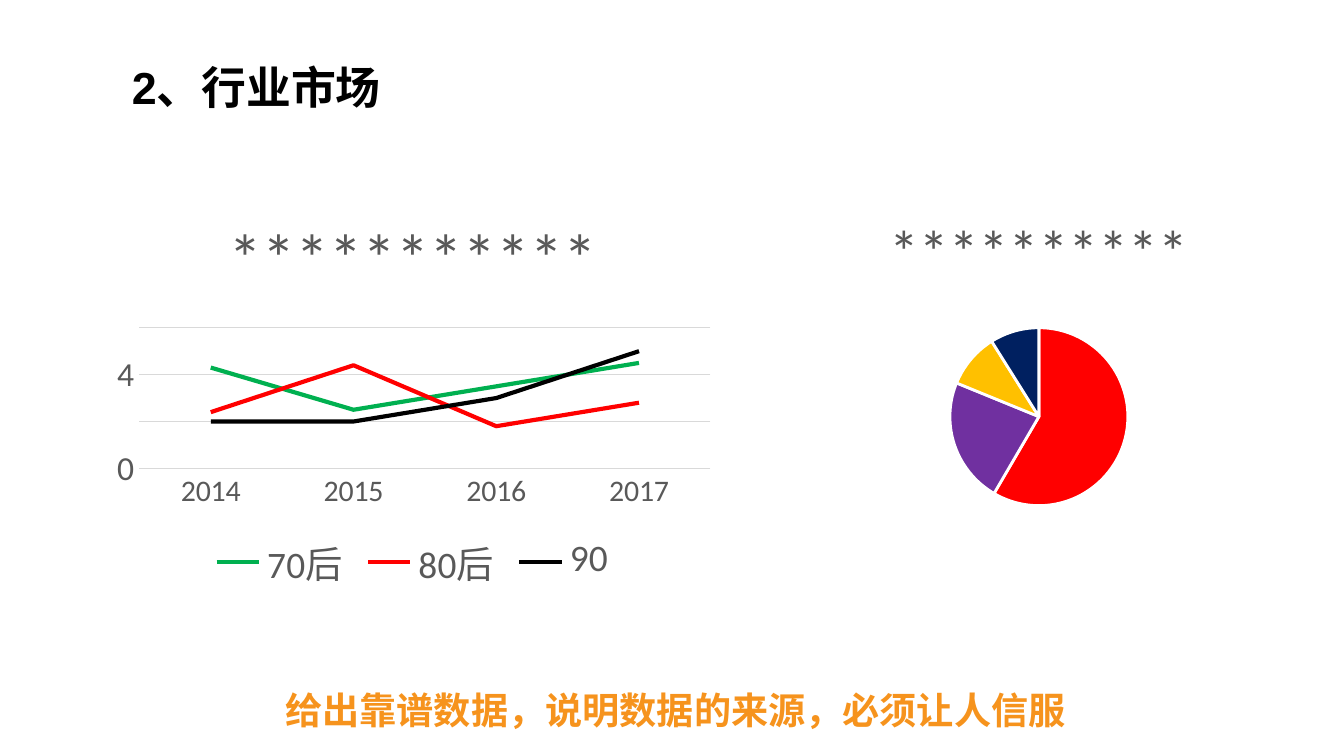
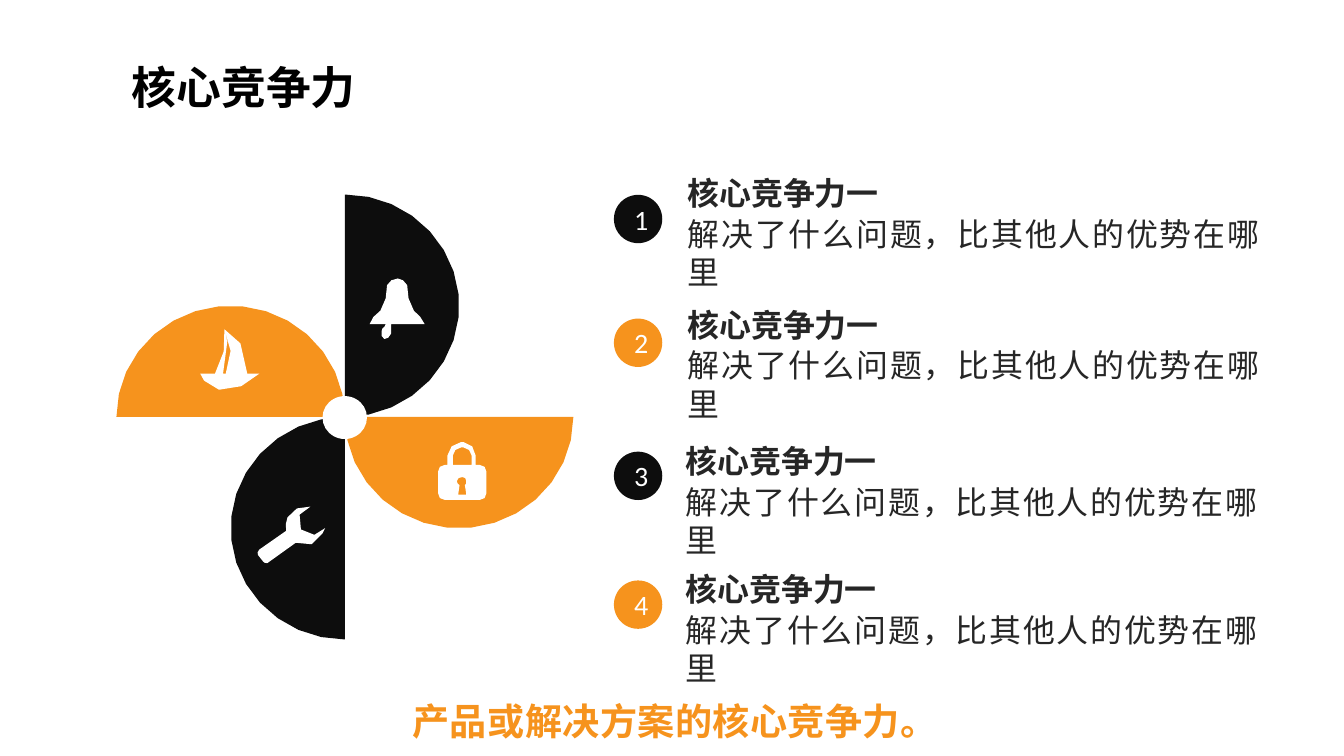
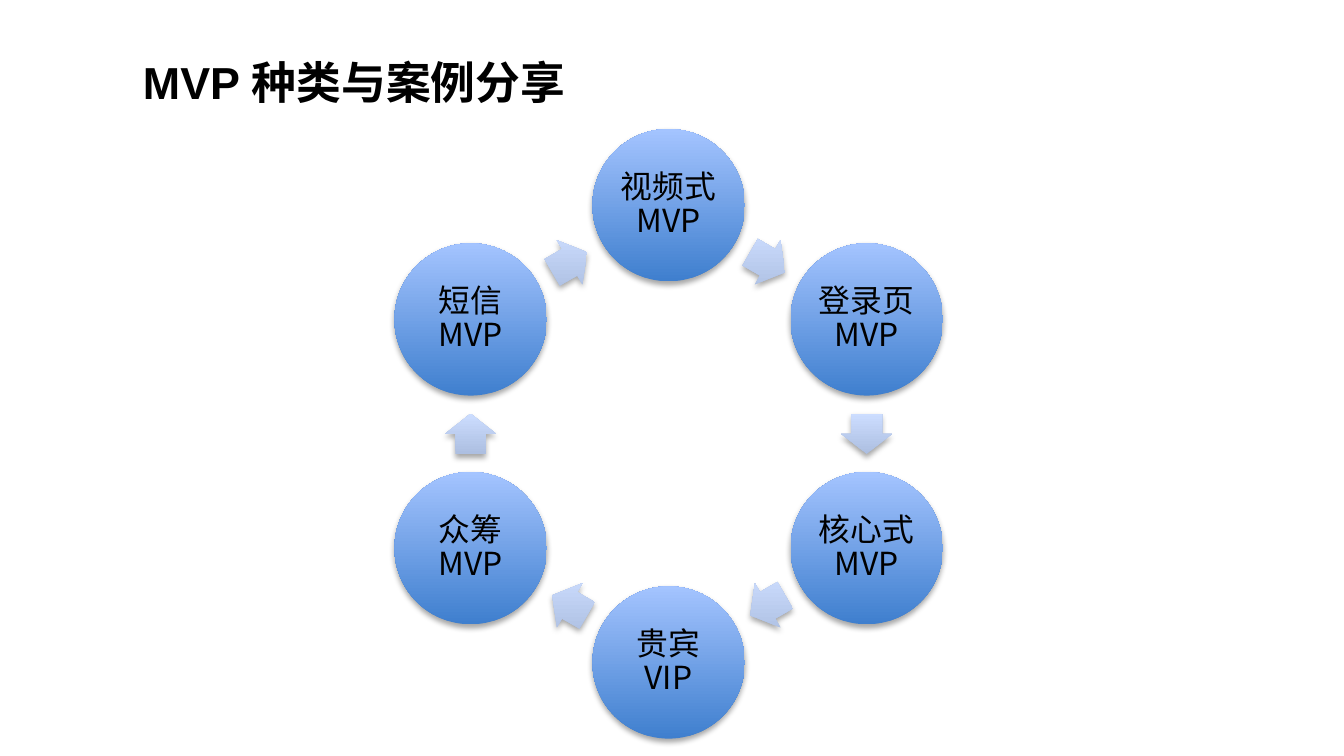
import math
from dataclasses import dataclass

import lxml.etree
import pptx
import pptx.chart.data
import pptx.dml.color
import pptx.enum.chart
import pptx.enum.shapes
import pptx.enum.text
import pptx.oxml
import pptx.oxml.ns
import pptx.util

Pt = pptx.util.Pt
qn = pptx.oxml.ns.qn
Shape = pptx.enum.shapes.MSO_SHAPE
Align = pptx.enum.text.PP_ALIGN
Anchor = pptx.enum.text.MSO_ANCHOR
Fit = pptx.enum.text.MSO_AUTO_SIZE
ChartType = pptx.enum.chart.XL_CHART_TYPE


@dataclass(frozen=True)
class Theme:
    black: str = "000000"
    dark: str = "0D0D0D"
    ink: str = "262626"
    gray: str = "595959"
    rule: str = "D9D9D9"
    white: str = "FFFFFF"
    orange: str = "F6931D"
    lines: tuple = ("00B050", "FF0000", "000000")
    slices: tuple = ("FF0000", "7030A0", "FFC000", "002060")
    disc: tuple = ("3F7FCE", "A4C4FF")
    arrow: tuple = ("ADBFE1", "CCDDFF")
    title_font: str = "Arial"
    chart_font: str = "Calibri"
    text_font: str = "Noto Sans CJK SC"
    title_size: float = 24
    footer_size: float = 19.9
    body_size: float = 17.1
    label_size: float = 17
    number_size: float = 15


THEME = Theme()
ICON_UNIT = 0.72
CURVE_STEPS = 2
BLADE_STEP = 12
BELL = [
    [(41, 34), (41, 30, 35, 27, 33, 24), (27, 18, 30, 12, 28, 5), (26, 2, 24, 0, 21, 0),
     (17, 0, 15, 2, 13, 5), (11, 12, 14, 18, 8, 24), (5, 27, 0, 30, 0, 34), (12, 34), (11, 36),
     (10, 36, 9, 38, 9, 39), (8, 42, 9, 44, 11, 45), (13, 45, 15, 44, 16, 41),
     (16, 40, 16, 39, 16, 37), (16, 34)],
]
BOAT = [
    [(35, 33), (44, 17, 18, 0, 18, 0), (26, 8, 22, 24, 19, 33), (17, 33), (24, 14, 18, 0, 18, 0),
     (22, 8, 15, 25, 11, 33), (0, 33), (0, 33, 3, 43, 14, 45), (24, 46, 38, 41, 44, 33)],
]
WRENCH = [
    [(2, 33), (22, 19), (21, 16, 22, 12, 23, 9), (26, 3, 33, 0, 40, 1), (32, 7), (33, 18),
     (43, 22), (51, 17), (50, 18, 50, 20, 49, 21), (46, 29, 37, 32, 30, 28), (29, 28), (8, 43),
     (7, 43, 5, 43, 5, 42), (1, 37), (0, 36, 1, 34, 2, 33)],
]
LOCK = [
    [(31, 17), (28, 17), (28, 10), (28, 5, 24, 0, 19, 0), (17, 0), (12, 0, 7, 5, 7, 10), (7, 17),
     (5, 17), (2, 17, 0, 19, 0, 22), (0, 38), (0, 41, 2, 43, 5, 43), (31, 43),
     (34, 43, 36, 41, 36, 38), (36, 22), (36, 19, 34, 17, 31, 17)],
    [(21, 39), (15, 39), (16, 32), (15, 32, 14, 30, 14, 29), (14, 27, 16, 26, 18, 26),
     (20, 26, 21, 27, 21, 29), (21, 30, 21, 32, 20, 32)],
    [(25, 17), (11, 17), (11, 10), (11, 7, 14, 4, 17, 4), (19, 4), (22, 4, 25, 7, 25, 10)],
]


def rgb(color):
    return pptx.dml.color.RGBColor.from_string(color)


def write(frame, text, size, color, font=THEME.text_font, bold=False, align=Align.LEFT,
          anchor=Anchor.TOP, fit=Fit.NONE, wrap=True, inset=None, line_spacing=None, tracking=0):
    frame.word_wrap = wrap
    frame.auto_size = fit
    frame.vertical_anchor = anchor
    if inset is not None:
        frame.margin_left = frame.margin_right = Pt(inset)
        frame.margin_top = frame.margin_bottom = Pt(inset)
    para = frame.paragraphs[0]
    para.alignment = align
    if line_spacing:
        para.line_spacing = line_spacing
    span = para.add_run()
    span.text = text
    style(span.font, size, color, font, bold)
    properties = span.font._element
    lxml.etree.SubElement(properties, qn("a:ea"), typeface=THEME.text_font)
    if tracking:
        properties.set("spc", str(round(tracking * 100)))


def style(font, size, color, name, bold=False):
    font.size = Pt(size)
    font.bold = bold
    font.name = name
    font.color.rgb = rgb(color)


def trace(outline):
    points = [outline[0]]
    for segment in outline[1:]:
        if len(segment) == 2:
            points.append(segment)
            continue
        knots = [points[-1], segment[:2], segment[2:4], segment[4:]]
        for step in range(1, CURVE_STEPS + 1):
            t = step / CURVE_STEPS
            weights = ((1 - t) ** 3, 3 * t * (1 - t) ** 2, 3 * t * t * (1 - t), t ** 3)
            points.append(tuple(sum(w * knot[axis] for w, knot in zip(weights, knots))
                                for axis in (0, 1)))
    return points


class Slides:
    def __init__(self, theme):
        self.theme = theme
        self.deck = pptx.Presentation()
        self.deck.slide_width = Pt(720)
        self.deck.slide_height = Pt(405)
        self.page = None
        self.shapes = None

    def start(self, title, left=63.4, top=26.8, width=619, height=39.6):
        self.page = self.deck.slides.add_slide(self.deck.slide_layouts[5])
        self.shapes = self.page.shapes
        box = self.shapes.title
        box.left, box.top, box.width, box.height = Pt(left), Pt(top), Pt(width), Pt(height)
        write(box.text_frame, title, self.theme.title_size, self.theme.black,
              font=self.theme.title_font, bold=True, anchor=Anchor.MIDDLE)

    def group(self):
        self.shapes = self.page.shapes.add_group_shape().shapes

    def text(self, text, left, top, width, height, **format):
        box = self.shapes.add_textbox(Pt(left), Pt(top), Pt(width), Pt(height))
        write(box.text_frame, text, **format)

    def footer(self, text, left, top, width, **format):
        self.text(text, left, top, width, 31.7, size=self.theme.footer_size,
                  color=self.theme.orange, bold=True, fit=Fit.SHAPE_TO_FIT_TEXT, **format)

    def shape(self, kind, left, top, width, height, color=None):
        shape = self.shapes.add_shape(kind, Pt(left), Pt(top), Pt(width), Pt(height))
        self.paint(shape, color)
        return shape

    def paint(self, shape, color):
        shape.shadow.inherit = False
        shape.line.fill.background()
        if color:
            shape.fill.solid()
            shape.fill.fore_color.rgb = rgb(color)

    def outline(self, contours, color):
        contours = [[(Pt(x), Pt(y)) for x, y in contour] for contour in contours]
        builder = self.shapes.build_freeform(*contours[0][0])
        builder.add_line_segments(contours[0][1:], close=True)
        for contour in contours[1:]:
            builder.move_to(*contour[0])
            builder.add_line_segments(contour[1:], close=True)
        self.paint(builder.convert_to_shape(), color)

    def icon(self, contours, left, top):
        placed = [[(left + x * ICON_UNIT, top + y * ICON_UNIT) for x, y in trace(contour)]
                  for contour in contours]
        self.outline(placed, self.theme.white)

    def glossy(self, kind, center_x, center_y, width, height, colors):
        shape = self.shape(kind, center_x - width / 2, center_y - height / 2, width, height)
        shape.fill.gradient()
        shape.fill.gradient_angle = 90
        for stop, color in zip(shape.fill.gradient_stops, colors):
            stop.color.rgb = rgb(color)
        properties = shape.element.spPr
        properties.find(qn("a:gradFill")).set("rotWithShape", "0")
        shadow = lxml.etree.SubElement(
            properties.find(qn("a:effectLst")), qn("a:outerShdw"), blurRad=str(Pt(3.1)),
            dist=str(Pt(1.8)), dir="5400000", rotWithShape="0")
        tint = lxml.etree.SubElement(shadow, qn("a:srgbClr"), val=self.theme.black)
        lxml.etree.SubElement(tint, qn("a:alpha"), val="35000")
        return shape

    def chart(self, kind, left, width, title, title_size, categories, series, plot_area):
        data = pptx.chart.data.CategoryChartData()
        data.categories = categories
        for name, values in series:
            data.add_series(name, values)
        chart = self.shapes.add_chart(kind, Pt(left), Pt(98), Pt(width), Pt(221.8), data).chart
        style(chart.font, 10, self.theme.black, self.theme.chart_font)
        chart.has_legend = False
        chart.has_title = True
        span = chart.chart_title.text_frame.paragraphs[0].add_run()
        span.text = title
        style(span.font, title_size, self.theme.gray, self.theme.chart_font)
        chart.chart_title.include_in_layout = False
        area = chart.element.find(".//" + qn("c:plotArea"))
        for layout in area.findall(qn("c:layout")):
            area.remove(layout)
        layout = lxml.etree.Element(qn("c:layout"))
        manual = lxml.etree.SubElement(layout, qn("c:manualLayout"))
        settings = [("layoutTarget", "inner"), ("xMode", "edge"), ("yMode", "edge")]
        for name, value in settings + list(zip("xywh", plot_area)):
            lxml.etree.SubElement(manual, qn("c:" + name), val=str(value))
        area.insert(0, layout)
        return chart

    def line_chart(self, left, width, **content):
        theme = self.theme
        chart = self.chart(ChartType.LINE, left, width, **content)
        chart.has_legend = True
        chart.legend.position = pptx.enum.chart.XL_LEGEND_POSITION.BOTTOM
        chart.legend.include_in_layout = False
        style(chart.legend.font, 20, theme.gray, theme.chart_font)
        for axis, size in ((chart.category_axis, 16), (chart.value_axis, 18)):
            axis.major_tick_mark = pptx.enum.chart.XL_TICK_MARK.NONE
            style(axis.tick_labels.font, size, theme.gray, theme.chart_font)
        values = chart.value_axis
        values.minimum_scale, values.maximum_scale, values.major_unit = 0, 6, 2
        values.tick_labels.number_format = '[=2]"";[=6]"";General'
        values.tick_labels.number_format_is_linked = False
        values.format.line.fill.background()
        for line in (chart.category_axis.format.line, values.major_gridlines.format.line):
            line.color.rgb = rgb(theme.rule)
            line.width = Pt(0.75)
        chart.plots[0].vary_by_categories = False
        for series, color in zip(chart.plots[0].series, theme.lines):
            series.smooth = False
            series.format.line.color.rgb = rgb(color)
            series.format.line.width = Pt(2.25)

    def pie_chart(self, left, width, **content):
        chart = self.chart(ChartType.PIE, left, width, **content)
        chart.plots[0].vary_by_categories = True
        for index, color in enumerate(self.theme.slices):
            wedge = chart.plots[0].series[0].points[index].format
            wedge.fill.solid()
            wedge.fill.fore_color.rgb = rgb(color)
            wedge.line.color.rgb = rgb(self.theme.white)
            wedge.line.width = Pt(1.5)


def market(slides):
    slides.start("2、行业市场")
    slides.line_chart(
        54.7, 332.6, title="***********", title_size=36, categories=[2014, 2015, 2016, 2017],
        series=[("70后", (4.3, 2.5, 3.5, 4.5)), ("80后", (2.4, 4.4, 1.8, 2.8)),
                ("90", (2, 2, 3, 5))],
        plot_area=(0.06, 0.35, 0.92, 0.34))
    slides.pie_chart(
        402.5, 308.2, title="**********", title_size=32, categories=["90后", "80后", "00后", "70后"],
        series=[("Series 1", (59, 23, 10, 9))], plot_area=(0.34, 0.35, 0.32, 0.43))
    slides.footer("给出靠谱数据，说明数据的来源，必须让人信服", 145.8, 364.7, 438.5)


def strengths(slides):
    theme = slides.theme
    slides.start("核心竞争力")
    hub_x, hub_y, radius_x, radius_y = 184.8, 223.4, 61.2, 59.6
    for turn in range(4):
        angle = turn * 90
        center_x = hub_x + radius_x * math.cos(math.radians(angle))
        center_y = hub_y + radius_y * math.sin(math.radians(angle))
        arc = [(center_x + radius_x * math.cos(math.radians(degree)),
                center_y + radius_y * math.sin(math.radians(degree)))
               for degree in range(angle, angle + 181, BLADE_STEP)]
        slides.outline([arc], theme.dark if turn % 2 else theme.orange)
    slides.shape(Shape.OVAL, 172.8, 212.2, 23.8, 23, theme.white)
    for contours, left, top in ((BELL, 198, 149.2), (BOAT, 107.3, 176.4),
                                (WRENCH, 137.5, 270.7), (LOCK, 234.7, 236.9)):
        slides.icon(contours, left, top)
    rows = ((361.4, 104.4, 89.4), (361.4, 170.7, 160), (360.4, 242, 233.3), (360.4, 311, 301.8))
    for number, (left, dot_top, heading_top) in enumerate(rows, 1):
        dot = slides.shape(Shape.OVAL, 328.9, dot_top, 25.9, 25.9,
                           theme.dark if number % 2 else theme.orange)
        write(dot.text_frame, str(number), theme.number_size, theme.white,
              font=theme.chart_font, align=Align.CENTER, anchor=Anchor.MIDDLE)
        words = dict(size=theme.body_size, color=theme.ink, fit=Fit.SHAPE_TO_FIT_TEXT)
        slides.text("解决了什么问题，比其他人的优势在哪里", left, heading_top + 21.8, 320.4, 49,
                    align=Align.JUSTIFY, **words)
        slides.text("核心竞争力一", left, heading_top, 132.5, 28.1, bold=True, **words)
    slides.footer("产品或解决方案的核心竞争力。", 213.9, 370.8, 298, wrap=False, tracking=0.2)


def cycle(slides):
    theme = slides.theme
    slides.start("MVP 种类与案例分享", 69.4, 10.1, 648, 67.7)
    slides.group()
    center_x, center_y, radius = 358.2, 232.4, 122.5
    labels = ("视频式MVP", "登录页MVP", "核心式MVP", "贵宾VIP", "众筹MVP", "短信MVP")
    for index, label in enumerate(labels):
        angle = math.radians(index * 60 - 90)
        x = center_x + radius * math.cos(angle)
        y = center_y + radius * math.sin(angle)
        slides.glossy(Shape.OVAL, x, y, 81.6, 81.6, theme.disc)
        slides.text(label, x - 28.8, y - 28.8, 57.6, 57.6, size=theme.label_size,
                    color=theme.black, align=Align.CENTER, anchor=Anchor.MIDDLE,
                    inset=1.5, line_spacing=0.9)
        middle = angle + math.radians(30)
        reach = radius * math.cos(math.radians(30))
        arrow = slides.glossy(Shape.RIGHT_ARROW, center_x + reach * math.cos(middle),
                              center_y + reach * math.sin(middle), 21.6, 27.4, theme.arrow)
        arrow.adjustments[0], arrow.adjustments[1] = 0.6, 0.5
        arrow.rotation = 30 + index * 60


def main():
    slides = Slides(THEME)
    market(slides)
    strengths(slides)
    cycle(slides)
    slides.deck.save("out.pptx")


if __name__ == "__main__":
    main()
